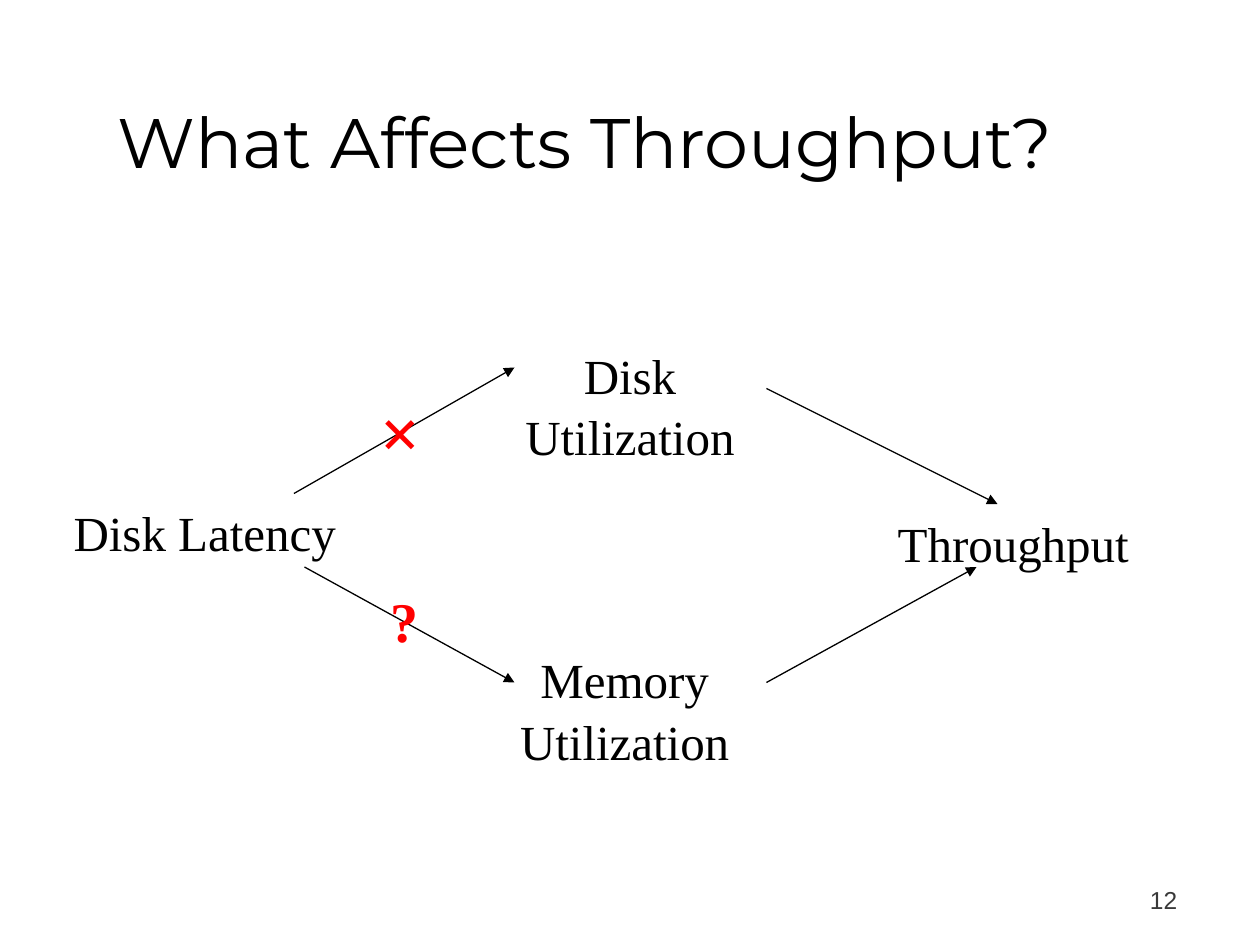
from lxml import etree
from pptx import Presentation, util as u
from pptx.dml.color import RGBColor
from pptx.enum import shapes, text
from pptx.oxml.ns import qn

COLORS = {"ink": "000000", "mark": "FF0000", "number": "393939"}
COLUMNS, ROWS = 120, 90


class CausalSlide:
    """Draws on one slide; all places are in columns and rows of the grid."""

    font = "Times New Roman"
    label_size = 28
    line_width = 0.75

    def __init__(self, presentation):
        self.column = presentation.slide_width / COLUMNS
        self.row = presentation.slide_height / ROWS
        self.slide = presentation.slides.add_slide(presentation.slide_layouts[6])

    def place(self, column, row):
        return round(column * self.column), round(row * self.row)

    def text(self, words, left, top, width, height, size, color="ink", font=None,
             bold=False, align=text.PP_ALIGN.CENTER,
             anchor=text.MSO_ANCHOR.TOP, spacing=None):
        shape = self.slide.shapes.add_textbox(
            *self.place(left, top), *self.place(width, height))
        frame = shape.text_frame
        frame.word_wrap = True
        frame.vertical_anchor = anchor
        paragraph = frame.paragraphs[0]
        paragraph.text = words
        paragraph.alignment = align
        paragraph.line_spacing = spacing
        paragraph.font.name = font or self.font
        paragraph.font.size = u.Pt(size)
        paragraph.font.bold = bold
        paragraph.font.color.rgb = RGBColor.from_string(COLORS[color])

    def title(self, words):
        self.text(words, 10, 3, 100, 15, 40, font="Montserrat",
                  align=text.PP_ALIGN.LEFT, anchor=text.MSO_ANCHOR.BOTTOM)

    def label(self, words, left, top, width, lines=1):
        self.text(words, left, top, width, 1.2 + 5.6 * lines,
                  self.label_size, spacing=1.05)

    def mark(self, sign, left, top, width, height, size):
        self.text(sign, left, top, width, height, size, "mark",
                  bold=True, spacing=1.05)

    def page_number(self, number):
        self.text(number, 88.3, 81.7, 25, 6, 14, "number", "Arial",
                  align=text.PP_ALIGN.RIGHT, anchor=text.MSO_ANCHOR.BOTTOM)

    def arrow(self, start, end):
        connector = self.slide.shapes.add_connector(
            shapes.MSO_CONNECTOR.STRAIGHT, *self.place(*start), *self.place(*end))
        connector.line.width = u.Pt(self.line_width)
        connector.line.color.rgb = RGBColor.from_string(COLORS["ink"])
        properties = connector._element.spPr
        etree.SubElement(properties.find(qn("a:ln")), qn("a:tailEnd"), type="triangle")
        etree.SubElement(properties, qn("a:effectLst"))


def main():
    presentation = Presentation()
    presentation.slide_width, presentation.slide_height = u.Inches(10), u.Inches(7.5)
    slide = CausalSlide(presentation)

    slide.title("What Affects Throughput?")
    slide.label("Disk Latency", 5, 47, 29)
    slide.label("Memory Utilization", 45, 61, 29, lines=2)
    slide.label("Disk Utilization", 44, 32, 32, lines=2)
    slide.label("Throughput", 82, 48, 29)

    for start, end in [((28, 47), (49, 35)), ((73, 37), (95, 48)),
                       ((29, 54), (49, 65)), ((73, 65), (93, 54))]:
        slide.arrow(start, end)

    slide.mark("×", 35, 36, 6.2, 9.2, 40)
    slide.mark("?", 33, 55, 11, 7.7, 32)
    slide.page_number("12")
    presentation.save("out.pptx")


if __name__ == "__main__":
    main()
